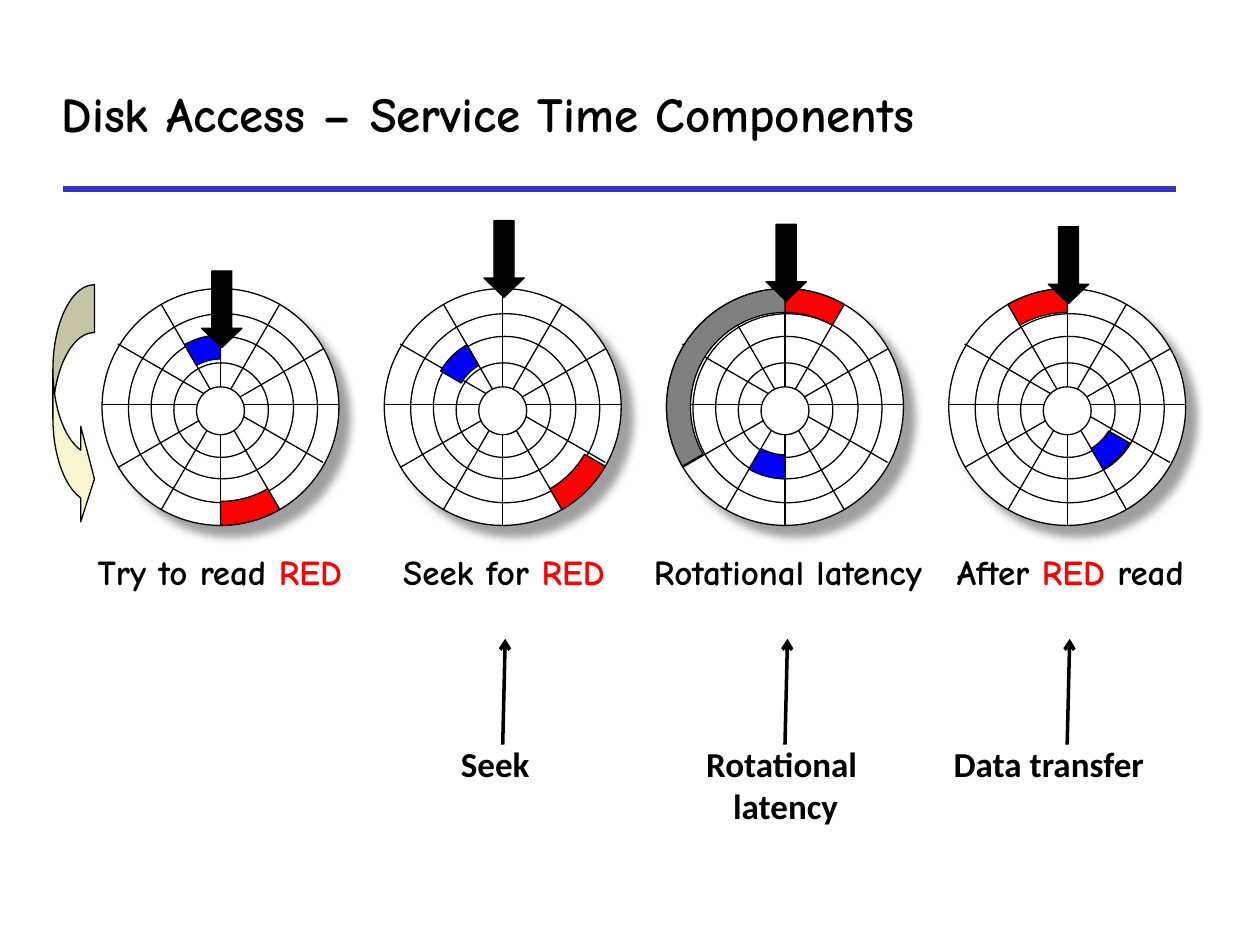
import math

from lxml import etree
from pptx import Presentation
from pptx.dml.color import RGBColor
from pptx.enum import shapes, text
from pptx.oxml import parse_xml
from pptx.oxml.ns import qn
from pptx.util import Inches, Pt

BLACK = RGBColor(0x00, 0x00, 0x00)
WHITE = RGBColor(0xFF, 0xFF, 0xFF)
RED = RGBColor(0xFF, 0x00, 0x00)
BLUE = RGBColor(0x00, 0x00, 0xFF)
GRAY = RGBColor(0x80, 0x80, 0x80)
CREAM = RGBColor(0xF7, 0xF5, 0xCD)
RULE_BLUE = RGBColor(0x33, 0x33, 0xCC)
HAND_FONT, PLAIN_FONT = "Comic Neue", "Calibri"

DISK_LEFT, DISK_TOP, DISK_PITCH = 0.81, 2.29, 2.24
RADIUS = 0.94
# Offset from the disk's corner and diameter of each circle, outermost first
RINGS = [(0, 0, 1.88), (0.21, 0.2, 1.5), (0.39, 0.38, 1.13), (0.57, 0.59, 0.75)]
HUB = (0.75, 0.78, 0.38)
# Angle clockwise from the top, and height of the spoke's midpoint in the disk
SPOKES = [(0, 0.94), (30, 0.94), (60, 0.95), (90, 0.92), (120, 0.91), (150, 0.94)]
OUTER_TRACK = (0.75, 0.94)
INNER_TRACK = (0.38, 0.57)

# Top of the head, then the marked sectors: colour, track, start and end angle
DISKS = [
    (2.15, [(BLUE, INNER_TRACK, 330, 360), (RED, OUTER_TRACK, 150, 180)]),
    (1.75, [(RED, OUTER_TRACK, 120, 150), (BLUE, INNER_TRACK, 300, 330)]),
    (1.78, [(RED, OUTER_TRACK, 0, 30), (BLUE, INNER_TRACK, 180, 210),
            (GRAY, OUTER_TRACK, 240, 360)]),
    (1.8, [(RED, OUTER_TRACK, 330, 360), (BLUE, INNER_TRACK, 120, 150)]),
]
CAPTIONS = [
    (0.58, 2.33, ["Try to read ", "RED"]),
    (3, 2, ["Seek for ", "RED"]),
    (4.92, 2.67, ["Rotational latency"]),
    (7.33, 2.33, ["After ", "RED", " read"]),
]
STEPS = [
    (3.56, 0.86, ["Seek"]),
    (5.33, 1.81, ["Rotational ", "latency"]),
    (7.47, 2.03, ["Data transfer"]),
]


def style_shape(shape, fill):
    shape.shadow.inherit = False
    shape.fill.solid()
    shape.fill.fore_color.rgb = fill
    shape.line.color.rgb = BLACK
    shape.line.width = Pt(0.75)


def add_preset(parent, kind, left, top, width, height, fill):
    shape = parent.shapes.add_shape(
        kind, Inches(left), Inches(top), Inches(width), Inches(height))
    style_shape(shape, fill)
    return shape


def add_line(parent, start, end, color, width):
    line = parent.shapes.add_connector(
        shapes.MSO_CONNECTOR.STRAIGHT, *map(Inches, (*start, *end)))
    line.line.color.rgb = color
    line.line.width = Pt(width)
    etree.SubElement(line._element.spPr, qn("a:effectLst"))
    return line


def add_drop_shadow(shape):
    effects = shape._element.spPr.find(qn("a:effectLst"))
    effects.append(parse_xml(
        '<a:outerShdw xmlns:a="http://schemas.openxmlformats.org/drawingml/2006/main"'
        f' blurRad="{Pt(5)}" dist="{Pt(8.5)}" dir="2700000" algn="ctr" rotWithShape="0">'
        '<a:srgbClr val="808080"><a:alpha val="75000"/></a:srgbClr></a:outerShdw>'))


def polar(center, radius, degrees):
    """Return the point at an angle measured clockwise from the top."""
    angle = math.radians(degrees)
    return center[0] + radius * math.sin(angle), center[1] - radius * math.cos(angle)


def add_sector(parent, center, color, track, start, end):
    inner, outer = track
    angles = range(start, end + 1, 3)
    points = [polar(center, outer, angle) for angle in angles]
    points += [polar(center, inner, angle) for angle in reversed(angles)]
    points = [(Inches(x), Inches(y)) for x, y in points]
    builder = parent.shapes.build_freeform(*points[0])
    builder.add_line_segments(points[1:], close=True)
    style_shape(builder.convert_to_shape(), color)


def add_disk(page, left, top, head_top, sectors):
    disk = page.shapes.add_group_shape()
    oval = shapes.MSO_SHAPE.OVAL
    rings = [add_preset(disk, oval, left + x, top + y, size, size, WHITE)
             for x, y, size in RINGS]
    add_drop_shadow(rings[0])
    for angle, middle in SPOKES:
        center = (left + RADIUS, top + middle)
        add_line(disk, polar(center, RADIUS, angle),
                 polar(center, RADIUS, angle + 180), BLACK, 0.75)
    x, y, size = HUB
    add_preset(disk, oval, left + x, top + y, size, size, WHITE)
    for sector in sectors:
        add_sector(disk, (left + RADIUS, top + RADIUS), *sector)
    head = add_preset(disk, shapes.MSO_SHAPE.DOWN_ARROW,
                      left + 0.79, head_top, 0.32, 0.61, BLACK)
    head.adjustments[1] = 0.48


def add_rotation_arrow(page, left, top):
    arrow = add_preset(page, shapes.MSO_SHAPE.CURVED_RIGHT_ARROW,
                       left, top, 0.33, 1.92, CREAM)
    for index, value in enumerate((1.15, 2.3, 0.33)):
        arrow.adjustments[index] = value


def style_run(run, font, size, color=BLACK):
    run.font.name = font
    run.font.size = Pt(size)
    run.font.bold = True
    run.font.color.rgb = color


def add_text_box(page, left, top, width, height):
    box = page.shapes.add_textbox(
        Inches(left), Inches(top), Inches(width), Inches(height))
    box.text_frame.word_wrap = True
    return box.text_frame


def add_caption(page, left, top, width, parts):
    frame = add_text_box(page, left, top, width, 0.43)
    para = frame.paragraphs[0]
    para.alignment = text.PP_ALIGN.CENTER
    for part in parts:
        span = para.add_run()
        span.text = part
        style_run(span, HAND_FONT, 20, RED if part == "RED" else BLACK)


def add_step(page, left, top, width, lines, arrow_x):
    """Add a step's name and the arrow from it up to its disk."""
    frame = add_text_box(page, left, top, width, 0.09 + 0.41 * len(lines))
    frame.word_wrap = len(lines) > 1
    frame.text = "\n".join(lines)
    for para in frame.paragraphs:
        para.alignment = (text.PP_ALIGN.CENTER if len(lines) > 1
                          else text.PP_ALIGN.LEFT)
        style_run(para.runs[0], PLAIN_FONT, 20)
    arrow = add_line(page, (arrow_x, top + 0.07), (arrow_x + 0.02, top - 0.77), BLACK, 2)
    etree.SubElement(arrow.line._get_or_add_ln(), qn("a:tailEnd"), type="arrow")


def add_title(page, left, top, width, height):
    title = page.shapes.title
    title.left, title.top = Inches(left), Inches(top)
    title.width, title.height = Inches(width), Inches(height)
    frame = title.text_frame
    frame.text = "Disk Access – Service Time Components"
    frame.vertical_anchor = text.MSO_ANCHOR.MIDDLE
    frame.paragraphs[0].alignment = text.PP_ALIGN.LEFT
    style_run(frame.paragraphs[0].runs[0], HAND_FONT, 28)
    add_line(page, (0.5, 1.5), (9.33, 1.5), RULE_BLUE, 3)


def main():
    deck = Presentation()
    deck.slide_width, deck.slide_height = Inches(10), Inches(7.5)
    page = deck.slides.add_slide(deck.slide_layouts[5])
    add_title(page, 0.39, 0.48, 8.85, 0.83)
    for left, width, parts in CAPTIONS:
        add_caption(page, left, 4.32, width, parts)
    disk_lefts = [DISK_LEFT + index * DISK_PITCH for index in range(len(DISKS))]
    for left, (head_top, sectors) in zip(disk_lefts, DISKS):
        add_disk(page, left, DISK_TOP, head_top, sectors)
    add_rotation_arrow(page, 0.42, 2.26)
    for disk_left, (left, width, lines) in zip(disk_lefts[1:], STEPS):
        add_step(page, left, 5.84, width, lines, disk_left + RADIUS)
    deck.save("out.pptx")


if __name__ == "__main__":
    main()
